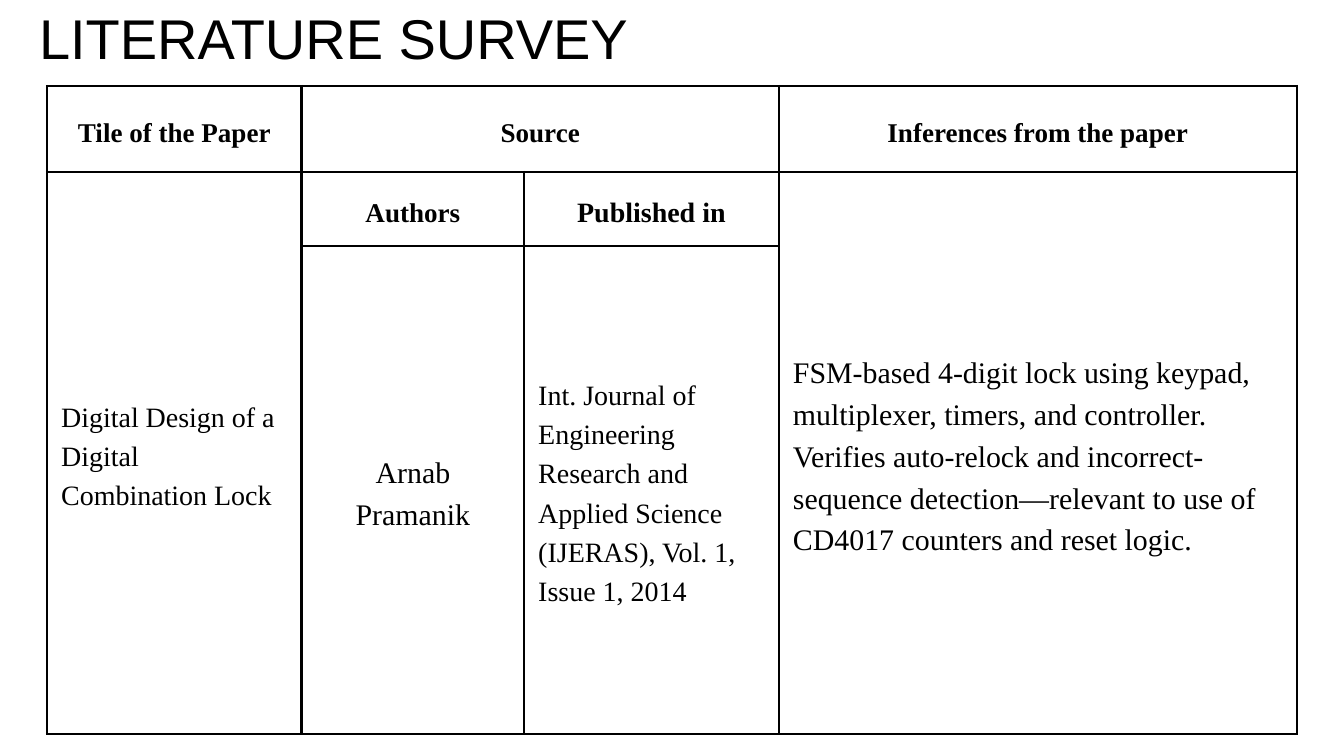
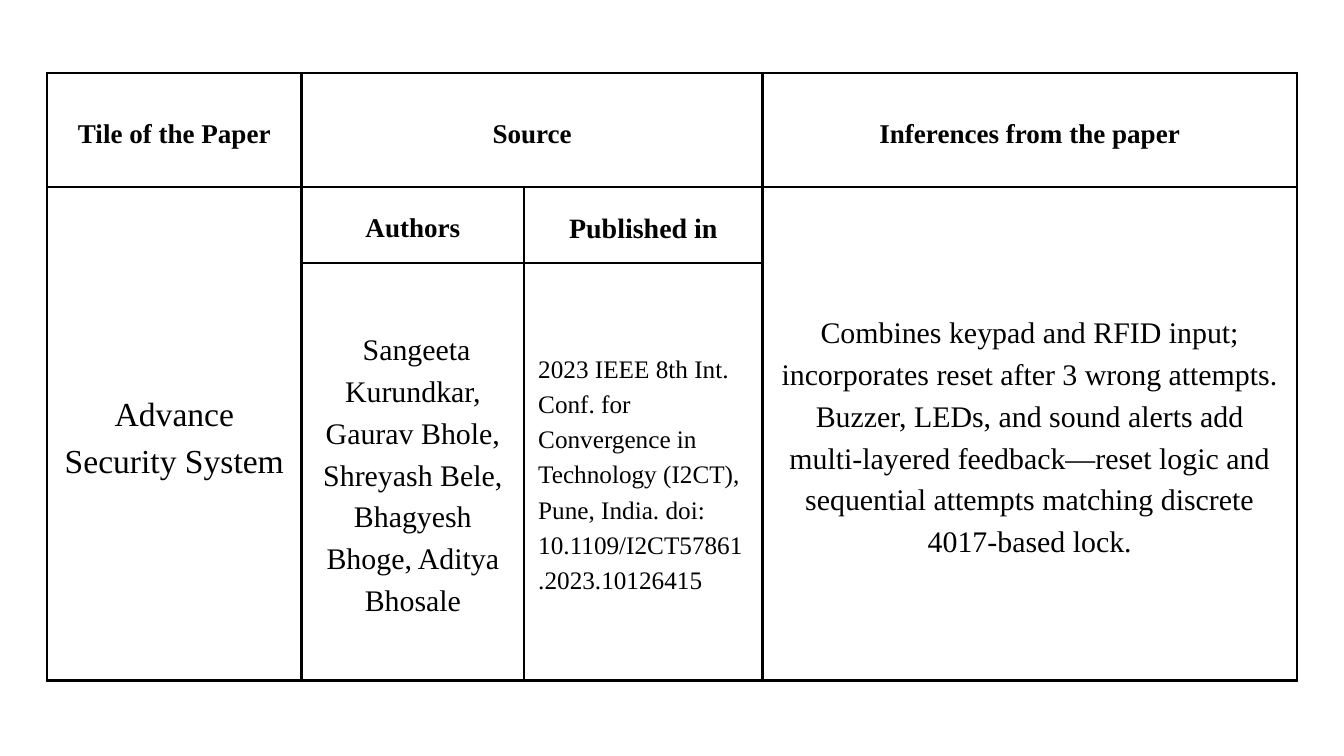
import pptx
import pptx.dml.color
import pptx.enum.text
import pptx.oxml
import pptx.oxml.ns
import pptx.util

EMU_PER_PX = 9144
BLACK = "000000"
SERIF = "Times New Roman"
LEFT = pptx.enum.text.PP_ALIGN.LEFT
CENTER = pptx.enum.text.PP_ALIGN.CENTER
LINE_RATIO = 1.4


def px(length):
    """Turn whole px, 100 to the inch, into EMU."""
    return pptx.util.Emu(length * EMU_PER_PX)


def color(code):
    """Turn a hex string into a colour."""
    return pptx.dml.color.RGBColor.from_string(code)


def write(frame, text, size=29, font=SERIF, bold=False, align=CENTER, ink=BLACK):
    """Write one formatted paragraph into a text frame."""
    frame.word_wrap = True
    para = frame.paragraphs[0]
    para.alignment = align
    para.line_spacing = pptx.util.Pt(round(size * LINE_RATIO, 1))
    span = para.add_run()
    span.text = text
    span.font.size = pptx.util.Pt(size)
    span.font.name = font
    span.font.bold = bold
    span.font.color.rgb = color(ink)


class SurveyDeck:
    """Hold the survey style and the current slide."""

    border_width = 3
    cell_margin = 21

    def __init__(self):
        """Start an empty deck of 20 by 11.25 inches."""
        self.deck = pptx.Presentation()
        self.deck.slide_width, self.deck.slide_height = px(2000), px(1125)
        self.page = None

    def add_page(self):
        """Add a blank slide and make it current."""
        self.page = self.deck.slides.add_slide(self.deck.slide_layouts[6])

    def title(self, text, left, top, width, height):
        """Add a large heading without inner margins."""
        box = self.page.shapes.add_textbox(px(left), px(top), px(width), px(height))
        frame = box.text_frame
        frame.margin_left = frame.margin_right = 0
        frame.margin_top = frame.margin_bottom = 0
        write(frame, text, size=60, font="Arial")

    def style_cell(self, cell):
        """Give a cell its margins, clear fill and four borders."""
        cell.margin_left = cell.margin_right = px(self.cell_margin)
        cell.margin_top = cell.margin_bottom = px(self.cell_margin)
        cell.vertical_anchor = pptx.enum.text.MSO_ANCHOR.MIDDLE
        cell.fill.background()
        properties = cell._tc.get_or_add_tcPr()
        for index, side in enumerate("LRTB"):
            border = pptx.oxml.parse_xml(
                f'<a:ln{side} {pptx.oxml.ns.nsdecls("a")} '
                f'w="{pptx.util.Pt(self.border_width)}"><a:solidFill>'
                f'<a:srgbClr val="{BLACK}"/></a:solidFill></a:ln{side}>')
            properties.insert(index, border)

    def survey_table(self, top, columns, rows, paper, authors, journal, inferences):
        """Add the survey grid; each entry is text with its format."""
        frame = self.page.shapes.add_table(
            len(rows), len(columns), px(70), px(top), px(sum(columns)), px(sum(rows)))
        table = frame.table
        table.first_row = table.horz_banding = False
        for column, width in zip(table.columns, columns):
            column.width = px(width)
        for row, height in zip(table.rows, rows):
            row.height = px(height)
        for cell in table.iter_cells():
            self.style_cell(cell)
        for first, last in (((0, 1), (0, 2)), ((1, 0), (2, 0)), ((1, 3), (2, 3))):
            table.cell(*first).merge(table.cell(*last))
        entries = {
            (0, 0): ("Tile of the Paper", dict(bold=True)),
            (0, 1): ("Source", dict(bold=True)),
            (0, 3): ("Inferences from the paper", dict(bold=True)),
            (1, 1): ("Authors", dict(bold=True)),
            (1, 2): ("Published in", dict(size=30, bold=True)),
            (1, 0): paper,
            (2, 1): authors,
            (2, 2): journal,
            (1, 3): inferences,
        }
        for place, (text, style) in entries.items():
            write(table.cell(*place).text_frame, text, **style)


def main():
    """Build both survey slides and save them."""
    survey = SurveyDeck()

    survey.add_page()
    survey.survey_table(
        128, (379, 331, 379, 771), (128, 110, 726),
        paper=("Digital Design of a Digital Combination Lock", dict(size=30, align=LEFT)),
        authors=("Arnab Pramanik", dict(size=32)),
        journal=("Int. Journal of Engineering Research and Applied Science (IJERAS), "
                 "Vol. 1, Issue 1, 2014", dict(size=30, align=LEFT)),
        inferences=("FSM-based 4-digit lock using keypad, multiplexer, timers, and "
                    "controller. Verifies auto-relock and incorrect-sequence "
                    "detection—relevant to use of CD4017 counters and reset logic.",
                    dict(size=32, align=LEFT)))
    survey.title("LITERATURE SURVEY", 45, -12, 903, 125)

    survey.add_page()
    survey.survey_table(
        109, (379, 331, 355, 795), (169, 113, 622),
        paper=("Advance Security System", dict(size=36)),
        authors=(" Sangeeta Kurundkar, Gaurav Bhole, Shreyash Bele, Bhagyesh Bhoge, "
                 "Aditya Bhosale", dict(size=32)),
        journal=("2023 IEEE 8th Int. Conf. for Convergence in Technology (I2CT), Pune, "
                 "India. doi: 10.1109/I2CT57861.2023.10126415", dict(size=27, align=LEFT)),
        inferences=("Combines keypad and RFID input; incorporates reset after 3 wrong "
                    "attempts. Buzzer, LEDs, and sound alerts add multi-layered "
                    "feedback—reset logic and sequential attempts matching discrete "
                    "4017-based lock.", dict(size=32)))

    survey.deck.save("out.pptx")


if __name__ == "__main__":
    main()
